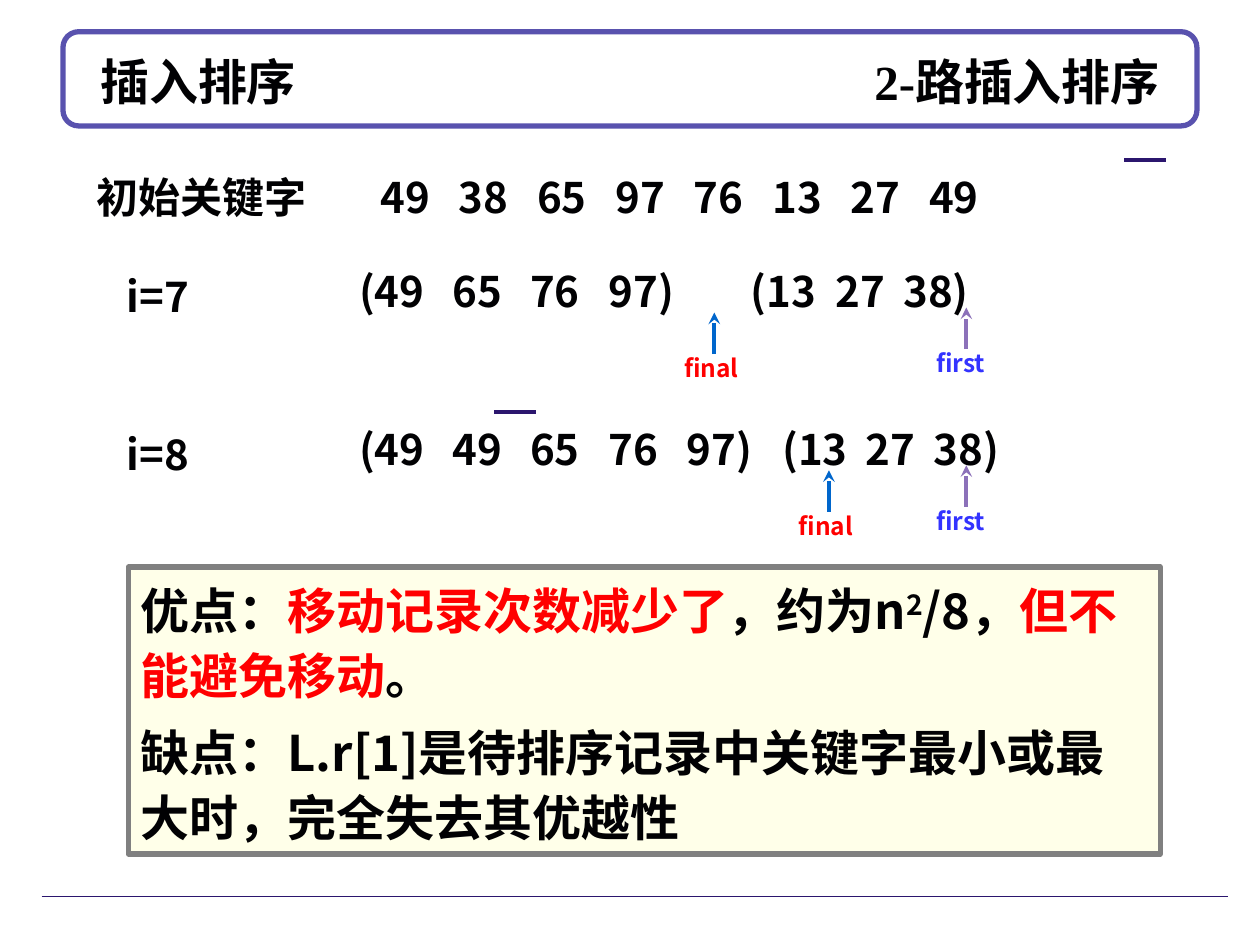
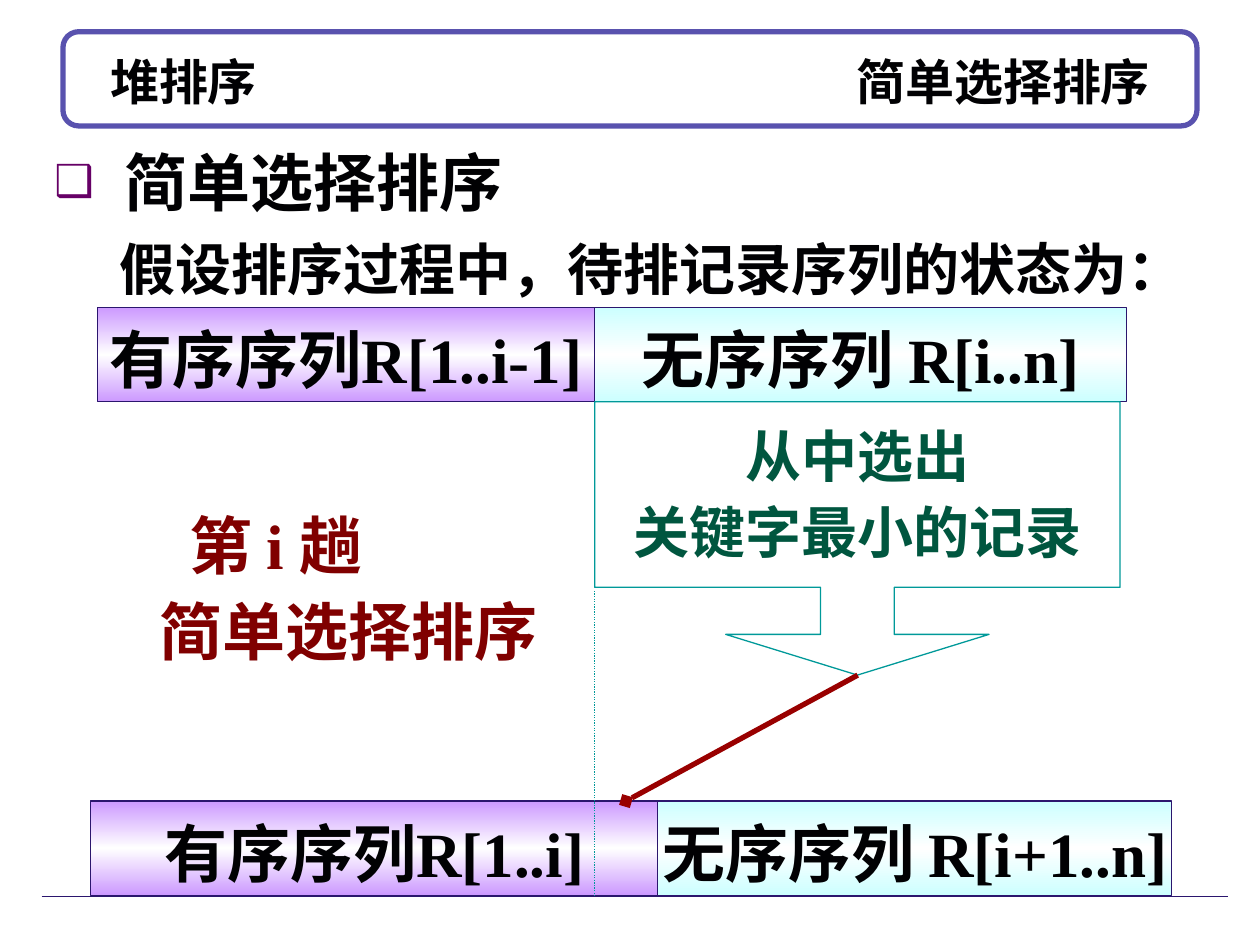
import pptx
import pptx.util
import pptx.dml.color
import pptx.enum.dml
import pptx.enum.shapes
import pptx.enum.text
import pptx.oxml
import pptx.oxml.ns

Cm, Pt = pptx.util.Cm, pptx.util.Pt
Shape = pptx.enum.shapes.MSO_SHAPE
Align = pptx.enum.text.PP_ALIGN
Anchor = pptx.enum.text.MSO_ANCHOR

INK, NAVY, BAND = "010103", "2B166E", "5952AE"
RED, BLUE, MAROON, GREEN, TEAL = "FF0000", "3333FF", "800000", "00563F", "009999"
SORTED, UNSORTED = "CC99FF", "CCFFFF"
SANS, SERIF, LABEL = "Noto Sans CJK SC", "Times New Roman", "Cabin"
WIDE, TIGHT = 1.32, 1.26  # line pitch as a multiple of the text size


def colour(code):
    return pptx.dml.color.RGBColor.from_string(code)


def add_xml(parent, tag, **attributes):
    child = pptx.oxml.parse_xml(f"<a:{tag} {pptx.oxml.ns.nsdecls('a')}/>")
    for name, value in attributes.items():
        child.set(name, str(value))
    parent.append(child)
    return child


class Slides:
    """Holds the deck's style and the page being drawn."""

    def __init__(self):
        self.deck = pptx.Presentation()
        self.deck.slide_width, self.deck.slide_height = Cm(25.4), Cm(19.05)
        self.page = None

    def start(self, layout, left_title, right_title, margin):
        self.page = self.deck.slides.add_slide(self.deck.slide_layouts[layout])
        band = self.shape(Shape.ROUNDED_RECTANGLE, 1.27, 0.64, 22.86, 1.9, BAND, 3, "FFFFFF")
        band.adjustments[0] = 0.167
        self.line((0.84, 18.08), (24.76, 18.08), NAVY, 0.75)
        # Title: one word at each end, the second on a right tab
        title = self.place(self.page.shapes.title, 1.27, 0.84, 22.86, 1.57)
        title.element.getparent().append(title.element)
        frame = title.text_frame
        frame.margin_left, frame.margin_right = Cm(margin), 0
        frame.vertical_anchor = Anchor.MIDDLE
        para = frame.paragraphs[0]
        self.tabs(para, [22.86 - 2 * margin], "r")
        para.alignment = Align.LEFT
        self.span(para, f"{left_title}\t{right_title}", 28, SERIF)

    def place(self, box, left, top, width, height):
        box.left, box.top, box.width, box.height = Cm(left), Cm(top), Cm(width), Cm(height)
        box.text_frame.auto_size = pptx.enum.text.MSO_AUTO_SIZE.NONE
        return box

    def tabs(self, para, stops, align="l"):
        tab_list = add_xml(para._p.get_or_add_pPr(), "tabLst")
        for stop in stops:
            add_xml(tab_list, "tab", pos=int(Cm(stop)), algn=align)

    def span(self, para, text, size, font, ink=INK, raised=False):
        span = para.add_run()
        span.text = text
        span.font.size, span.font.bold, span.font.name = Pt(size), True, font
        span.font.color.rgb = colour(ink)
        properties = span._r.get_or_add_rPr()
        add_xml(properties, "ea", typeface=SANS)
        if raised:
            properties.set("baseline", "30000")

    def add_lines(self, box, lines, size, font, ink=INK, align=Align.LEFT, pitch=WIDE,
                  gap=0.1, wrap=True, anchor=Anchor.TOP):
        """Each line is a string or a list of (text, ink, raised) parts."""
        frame = box.text_frame
        frame.word_wrap, frame.vertical_anchor = wrap, anchor
        for number, line in enumerate(lines):
            para = frame.add_paragraph() if number else frame.paragraphs[0]
            para.alignment = align
            para.line_spacing = Pt(round(size * pitch, 1))
            para.space_before = Pt(size * gap if number else 0)
            for text, shade, raised in [(line, ink, False)] if isinstance(line, str) else line:
                self.span(para, text, size, font, shade, raised)
        return box

    def text(self, left, top, width, height, lines, size, font, **style):
        box = self.page.shapes.add_textbox(Cm(left), Cm(top), Cm(width), Cm(height))
        return self.add_lines(box, lines, size, font, **style)

    def shape(self, kind, left, top, width, height, edge, weight, fill=None):
        box = self.page.shapes.add_shape(kind, Cm(left), Cm(top), Cm(width), Cm(height))
        box.shadow.inherit = False
        box.line.color.rgb, box.line.width = colour(edge), Pt(weight)
        if fill:
            box.fill.solid()
            box.fill.fore_color.rgb = colour(fill)
        else:
            box.fill.background()
        return box

    def line(self, start, end, ink, weight, head=None, dash=None):
        line = self.page.shapes.add_connector(
            pptx.enum.shapes.MSO_CONNECTOR.STRAIGHT, *map(Cm, start + end))
        line.line.color.rgb, line.line.width = colour(ink), Pt(weight)
        if dash:
            line.line.dash_style = dash
        if head:
            add_xml(line.get_or_add_ln(), "tailEnd", type=head)
        add_xml(line.element.spPr, "effectLst")

    def marker(self, x, tip, name, ink, arrow):
        self.text(x - 0.86, tip + 0.63, 1.9, 0.84, [name], 14, SANS, ink=ink)
        self.line((x, tip + 0.84), (x, tip), arrow, 2.25, "stealth")

    def keys(self, left, top, values, stops):
        row = self.text(left, top, 17, 1.4, ["\t".join(values)], 24, SANS)
        self.tabs(row.text_frame.paragraphs[0], stops)

    def sorting_pass(self, top, name, values, stops, final_x):
        self.text(2.31, top + 0.1, 2.11, 1.4, [name], 24, SANS)
        self.keys(6.99, top, values, stops)
        self.marker(19.48, top + 1.07, "first", BLUE, "8C71B9")
        self.marker(final_x, top + 1.17, "final", RED, "0066CC")

    def sequence(self, left, top, parts):
        """A row of touching cells, each shaded light in the middle."""
        for text, width, shade in parts:
            cell = self.shape(Shape.RECTANGLE, left, top, width, 1.9, NAVY, 0.75)
            cell.fill.gradient()
            cell.fill.gradient_angle = 90
            stops = cell.element.spPr.find(".//" + pptx.oxml.ns.qn("a:gsLst"))
            for old in list(stops):
                stops.remove(old)
            for position, code in ((0, shade), (50000, "FFFFFF"), (100000, shade)):
                add_xml(add_xml(stops, "gs", pos=position), "srgbClr", val=code)
            self.add_lines(cell, [text], 36, SERIF, align=Align.CENTER, wrap=False,
                           anchor=Anchor.MIDDLE)
            left += width


def two_way_insertion(slides):
    slides.start(5, "插入排序", "2-路插入排序", 0.75)

    # Initial keys
    slides.text(1.7, 3.23, 5.08, 1.4, ["初始关键字"], 24, LABEL)
    slides.keys(7.42, 3.23, "49 38 65 97 76 13 27 49".split(),
                [1.58 * step for step in range(1, 8)])

    # Passes 7 and 8
    slides.sorting_pass(5.13, "i=7", "(49 65 76 97) (13 27 38)".split(),
                        [1.88, 3.45, 5.03, 7.9, 9.6, 10.97], 14.4)
    slides.sorting_pass(8.31, "i=8", "(49 49 65 76 97) (13 27 38)".split(),
                        [1.88, 3.45, 5.03, 6.6, 8.53, 10.21, 11.58], 16.71)

    # Bars that mark the second 49
    for x, y in ((22.66, 3.23), (9.96, 8.31)):
        slides.line((x, y), (x + 0.84, y), NAVY, 2.25)

    # Pros and cons
    notes = slides.shape(Shape.RECTANGLE, 2.59, 11.43, 20.8, 5.79, "808080", 3, "FFFFE9")
    notes.text_frame.margin_right = Cm(0.35)
    pros = [("优点：", INK, False), ("移动记录次数减少了", RED, False),
            ("，约为n", INK, False), ("2", INK, True), ("/8，", INK, False),
            ("但不能避免移动", RED, False), ("。", INK, False)]
    cons = "缺点：L.r[1]是待排序记录中关键字最小或最大时，完全失去其优越性"
    slides.add_lines(notes, [pros, cons], 28, SANS, gap=0.25, anchor=Anchor.MIDDLE)


def simple_selection(slides):
    slides.start(1, "堆排序", "简单选择排序", 0.95)

    # Heading with a box bullet
    body = slides.place(slides.page.placeholders[1], 0.84, 2.62, 11.5, 1.96)
    properties = body.text_frame.paragraphs[0]._p.get_or_add_pPr()
    properties.set("marL", str(int(Cm(1.42))))
    properties.set("indent", str(-int(Cm(1.42))))
    add_xml(add_xml(properties, "buClr"), "srgbClr", val="660066")
    add_xml(properties, "buSzPct", val=70000)
    add_xml(properties, "buChar", char="❑")
    slides.add_lines(body, ["简单选择排序"], 36, SERIF)
    slides.text(2.16, 4.47, 22.25, 1.75, ["假设排序过程中，待排记录序列的状态为："],
                32, SERIF, wrap=False)

    # State before the pass
    slides.sequence(1.96, 6.2, [("有序序列R[1..i-1]", 10.03, SORTED),
                                ("无序序列 R[i..n]", 10.72, UNSORTED)])

    # What the pass does
    step = slides.text(2.97, 10.01, 8.61, 3.63, ["第 i 趟", "简单选择排序"], 36, SERIF,
                       ink=MAROON, pitch=TIGHT)
    step.text_frame.paragraphs[0]._p.get_or_add_pPr().set("indent", str(int(Cm(0.6))))
    slides.text(12.42, 8.31, 9.73, 3.28, ["从中选出", "关键字最小的记录"], 32, SERIF,
                ink=GREEN, align=Align.CENTER, pitch=TIGHT)
    callout = slides.shape(Shape.DOWN_ARROW_CALLOUT, 11.99, 8.1, 10.59, 5.51, TEAL, 0.75)
    for index, value in enumerate((0.269, 0.482, 0.149, 0.679)):
        callout.adjustments[index] = value

    # State after the pass
    slides.sequence(1.83, 16.15, [("有序序列R[1..i]", 11.43, SORTED),
                                  ("无序序列 R[i+1..n]", 10.36, UNSORTED)])
    slides.line((17.29, 13.61), (12.62, 16.15), "990000", 3, "diamond")
    slides.line((11.99, 11.91), (11.99, 18.06), TEAL, 0.75,
                dash=pptx.enum.dml.MSO_LINE.ROUND_DOT)


def main():
    slides = Slides()
    two_way_insertion(slides)
    simple_selection(slides)
    slides.deck.save("out.pptx")


if __name__ == "__main__":
    main()
